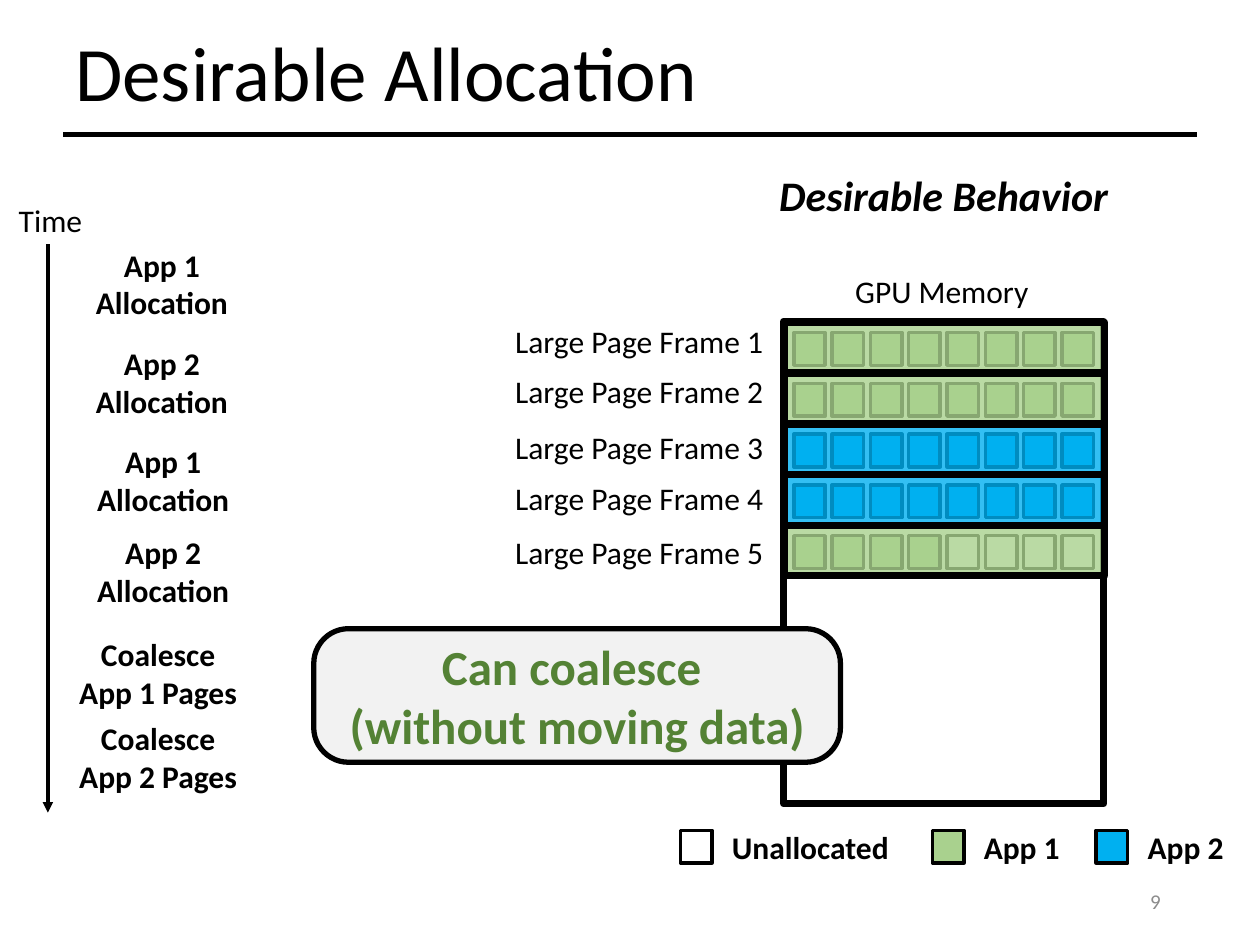
from dataclasses import dataclass

from lxml.etree import SubElement
from pptx import Presentation
from pptx.dml.color import RGBColor
from pptx.enum.shapes import MSO_CONNECTOR, MSO_SHAPE
from pptx.enum.text import MSO_ANCHOR, PP_ALIGN
from pptx.oxml.ns import qn
from pptx.util import Inches, Pt


@dataclass(frozen=True)
class Theme:
    font: str = "Calibri"
    ink: str = "000000"
    muted: str = "8C8C8C"
    free: str = "FFFFFF"
    app1: str = "A9D18E"
    app2: str = "00B0F0"
    panel: str = "F2F2F2"
    accent: str = "548235"
    title: int = 44
    callout: int = 28
    heading: int = 24
    body: int = 18
    small: int = 12


@dataclass(frozen=True)
class Box:
    left: float
    top: float
    width: float
    height: float

    def inner(self, dx, dy, width, height):
        return Box(self.left + dx, self.top + dy, width, height)

    def lengths(self):
        return [Inches(n) for n in (self.left, self.top, self.width, self.height)]


THEME = Theme()


def write(frame, text, size=THEME.body, color=THEME.ink, bold=False, italic=False,
          align=PP_ALIGN.LEFT, anchor=MSO_ANCHOR.TOP, wrap=True, spacing=None):
    frame.word_wrap = wrap
    frame.vertical_anchor = anchor
    for index, line in enumerate(text.split("\n")):
        paragraph = frame.add_paragraph() if index else frame.paragraphs[0]
        paragraph.alignment = align
        paragraph.line_spacing = spacing
        run = paragraph.add_run()
        run.text = line
        run.font.name = THEME.font
        run.font.size = Pt(size)
        run.font.bold = bold
        run.font.italic = italic
        run.font.color.rgb = RGBColor.from_string(color)


def label(slide, box, text, **style):
    write(slide.shapes.add_textbox(*box.lengths()).text_frame, text, **style)


def block(slide, box, fill=None, weight=2, opacity=100, kind=MSO_SHAPE.RECTANGLE):
    shape = slide.shapes.add_shape(kind, *box.lengths())
    shape.shadow.inherit = False
    shape.line.color.rgb = RGBColor.from_string(THEME.ink)
    shape.line.width = Pt(weight)
    if fill is None:
        shape.fill.background()
        return shape
    shape.fill.solid()
    shape.fill.fore_color.rgb = RGBColor.from_string(fill)
    if opacity < 100:
        color = shape._element.spPr.find(qn("a:solidFill"))[0]
        SubElement(color, qn("a:alpha"), val=str(opacity * 1000))
    return shape


def rule(slide, start, end, weight, arrow=False):
    line = slide.shapes.add_connector(
        MSO_CONNECTOR.STRAIGHT, *[Inches(n) for n in (*start, *end)])
    line.line.color.rgb = RGBColor.from_string(THEME.ink)
    line.line.width = Pt(weight)
    properties = line._element.spPr
    if arrow:
        SubElement(properties.find(qn("a:ln")), qn("a:tailEnd"), type="triangle")
    SubElement(properties, qn("a:effectLst"))


def header(slide, box):
    label(slide, box, "Desirable Allocation", size=THEME.title,
          anchor=MSO_ANCHOR.MIDDLE, spacing=0.9)
    bottom = box.top + box.height
    rule(slide, (box.left, bottom), (box.left + box.width, bottom), 3)


def timeline(slide, box):
    label(slide, box.inner(0, 0, 0.71, 0.4), "Time", wrap=False)
    axis = box.left + 0.33
    rule(slide, (axis, box.top + 0.39), (axis, box.top + box.height), 2, arrow=True)
    events = [
        (0.44, 0.35, "App 1 Allocation"),
        (0.44, 1.13, "App 2 Allocation"),
        (0.45, 1.91, "App 1 Allocation"),
        (0.45, 2.63, "App 2 Allocation"),
        (0.41, 3.44, "Coalesce\nApp 1 Pages"),
        (0.41, 4.11, "Coalesce\nApp 2 Pages"),
    ]
    for dx, dy, event in events:
        label(slide, box.inner(dx, dy, 1.59, 0.71), event,
              bold=True, align=PP_ALIGN.CENTER)


def page_frame(slide, box, pages, owner):
    """One large page frame: its pages under the owner's translucent cover."""
    pitch = 0.304
    for index, fill in enumerate(pages):
        block(slide, box.inner(0.07 + index * pitch, 0.08, 0.25, 0.26), fill)
    block(slide, box, owner, weight=4, opacity=80)


def memory(slide, box):
    label(slide, box.inner(-0.15, -1.25, 2.84, 0.5), "Desirable Behavior",
          size=THEME.heading, bold=True, italic=True,
          align=PP_ALIGN.CENTER, wrap=False)
    label(slide, box.inner(0.46, -0.44, 1.59, 0.4), "GPU Memory",
          align=PP_ALIGN.CENTER, wrap=False)
    block(slide, box, weight=4)

    # Large page frames, with the offset of each name beside them
    app1, app2 = [THEME.app1] * 8, [THEME.app2] * 8
    half_used = [THEME.app1] * 4 + [THEME.free] * 4
    frames = [
        (-0.04, app1, THEME.app1),
        (0.35, app1, THEME.app1),
        (0.8, app2, THEME.app2),
        (1.2, app2, THEME.app2),
        (1.63, half_used, THEME.app1),
    ]
    for index, (name_dy, pages, owner) in enumerate(frames):
        label(slide, box.inner(-2.23, name_dy, 2.19, 0.4),
              f"Large Page Frame {index + 1}", wrap=False)
        row = box.inner(0.01, 0.01 + index * 0.403, box.width, 0.4)
        page_frame(slide, row, pages, owner)


def legend(slide, box):
    entries = [
        (0, 1.59, "Unallocated", THEME.free),
        (2, 1.2, "App 1", THEME.app1),
        (3.3, 0.99, "App 2", THEME.app2),
    ]
    for dx, width, name, fill in entries:
        block(slide, box.inner(dx, 0.07, 0.25, 0.26), fill)
        label(slide, box.inner(dx + 0.31, 0, width, 0.4), name, bold=True)


def callout(slide, box):
    panel = block(slide, box, THEME.panel, weight=3, kind=MSO_SHAPE.ROUNDED_RECTANGLE)
    panel.adjustments[0] = 0.26
    write(panel.text_frame, "Can coalesce \n(without moving data)",
          size=THEME.callout, color=THEME.accent, bold=True,
          align=PP_ALIGN.CENTER, anchor=MSO_ANCHOR.MIDDLE)


def page_number(slide, box):
    label(slide, box, "9", size=THEME.small, color=THEME.muted,
          align=PP_ALIGN.RIGHT, anchor=MSO_ANCHOR.MIDDLE)


def main():
    deck = Presentation()
    deck.slide_width, deck.slide_height = Inches(10), Inches(7.5)
    slide = deck.slides.add_slide(deck.slide_layouts[6])
    header(slide, Box(0.5, 0.14, 9, 0.93))
    timeline(slide, Box(0.05, 1.55, 2.04, 4.9))
    memory(slide, Box(6.22, 2.55, 2.54, 3.83))
    legend(slide, Box(5.4, 6.52, 4.6, 0.4))
    callout(slide, Box(2.49, 4.99, 4.18, 1.06))
    page_number(slide, Box(7.06, 6.95, 2.25, 0.4))
    deck.save("out.pptx")


if __name__ == "__main__":
    main()
